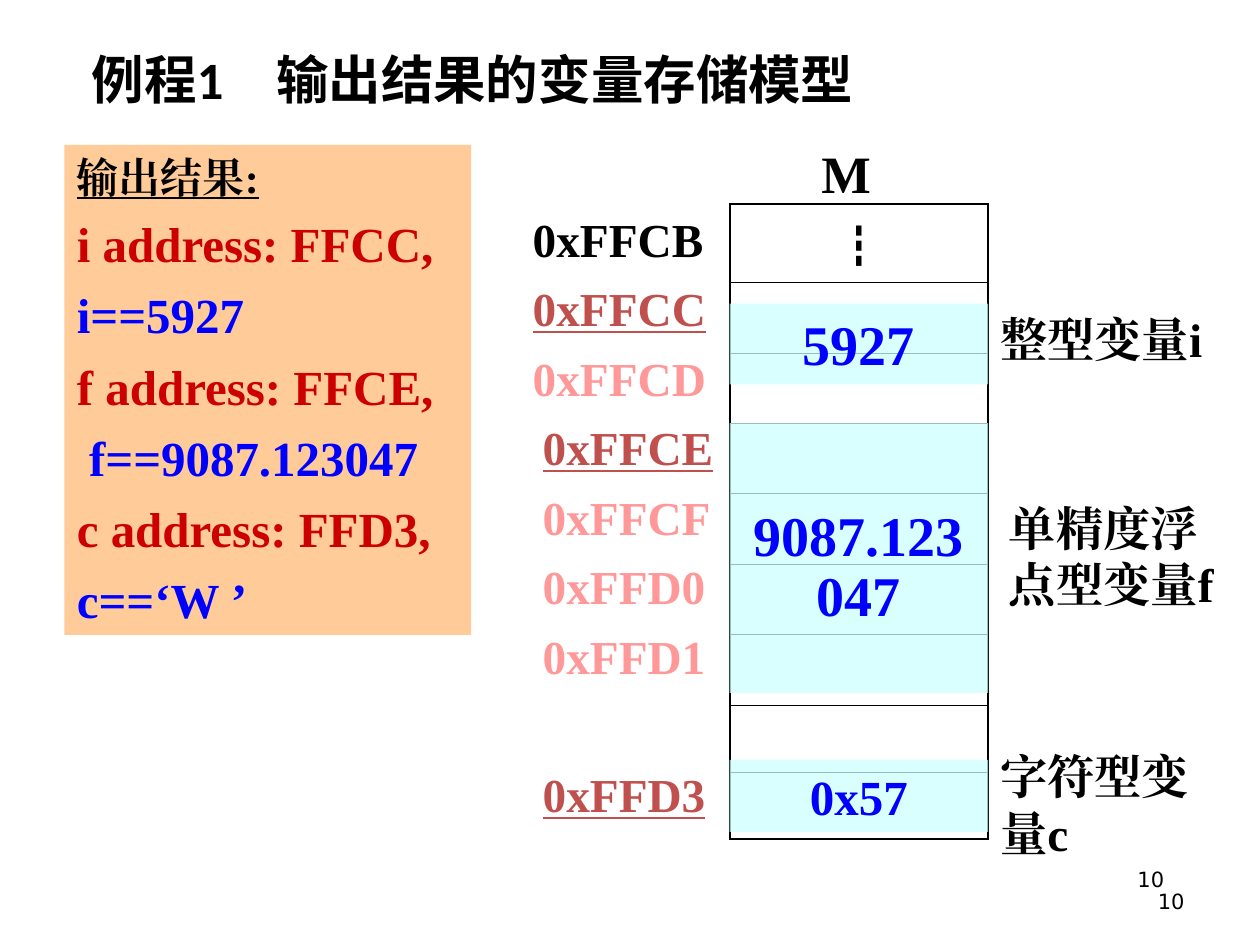
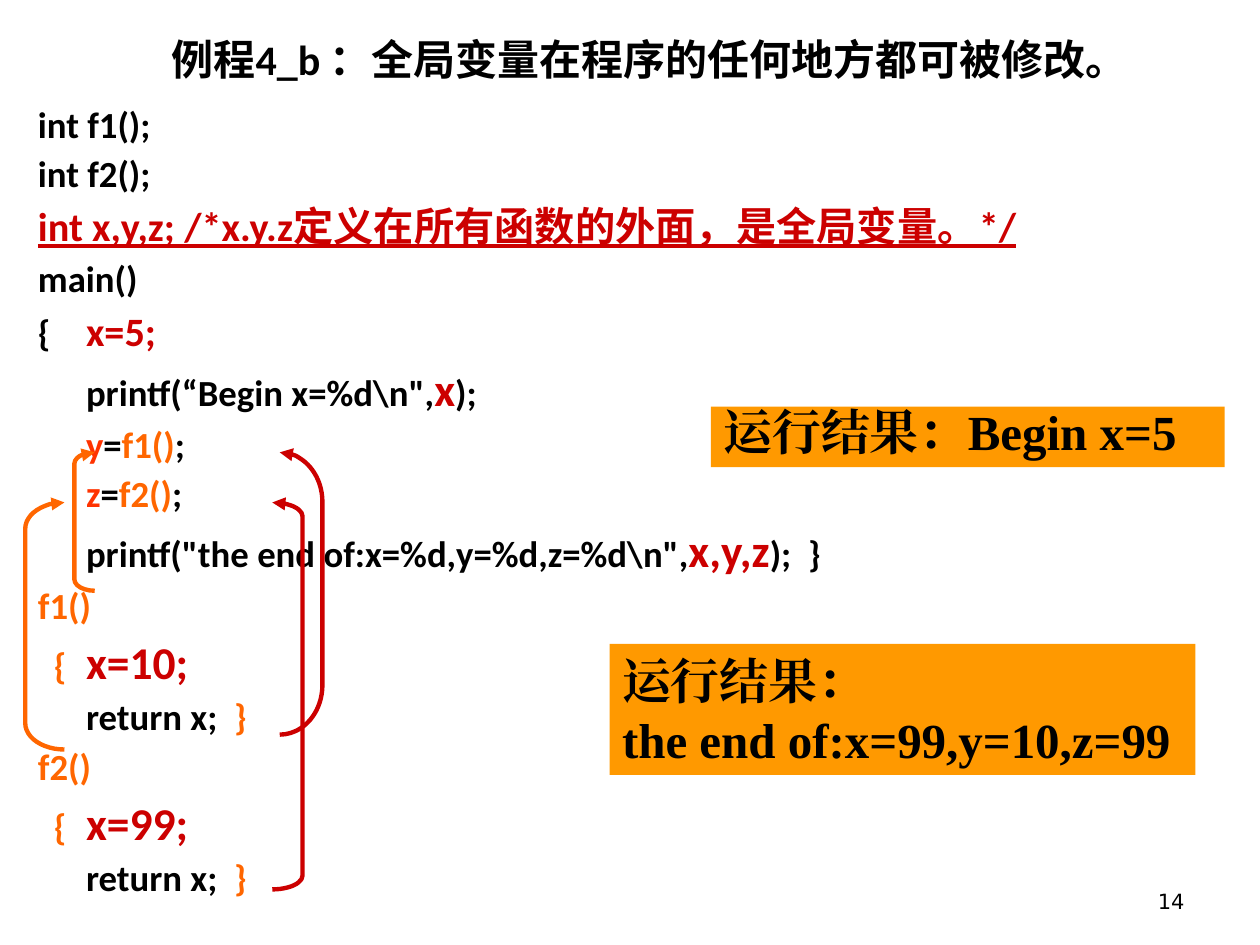
from lxml import etree
from pptx import Presentation
from pptx.dml.color import RGBColor
from pptx.enum import shapes, text
from pptx.oxml import ns
from pptx.util import Cm, Pt

INK = {
    "black": "000000", "red": "CC0000", "blue": "0000FF", "brick": "C0504D",
    "pink": "FF9999", "peach": "FFCC99", "aqua": "CCFFFF", "amber": "FF9900",
    "orange": "FF6600", "flame": "FF3300",
}
SERIF, SANS, HAN, PLAIN = "Times New Roman", "Calibri", "Noto Sans CJK SC", "DejaVu Sans"
MID, LEFT, RIGHT = text.PP_ALIGN.CENTER, text.PP_ALIGN.LEFT, text.PP_ALIGN.RIGHT
TOP, HALF = text.MSO_ANCHOR.TOP, text.MSO_ANCHOR.MIDDLE


def rgb(name):
    return RGBColor.from_string(INK[name])


def sub(node, tag, **attrs):
    return etree.SubElement(node, ns.qn("a:" + tag), **attrs)


class Deck:
    def __init__(self):
        self.prs = Presentation()
        self.prs.slide_width, self.prs.slide_height = Cm(25.4), Cm(19.05)

    def page(self, layout):
        self.slide = self.prs.slides.add_slide(self.prs.slide_layouts[layout])

    def style(self, run, font=SERIF, size=27, ink="black", bold=True, line=False):
        f = run.font
        f.name, f.size, f.bold, f.underline = font, Pt(size), bold, line
        f.color.rgb = rgb(ink)
        props = run._r.get_or_add_rPr()
        props.set("lang", "zh-CN")
        han = etree.Element(ns.qn("a:ea"), typeface=font)
        props.find(ns.qn("a:latin")).addnext(han)

    def fill(self, para, runs, **base):
        """Add (words, style) runs to a paragraph on top of a base style."""
        for words, look in runs:
            run = para.add_run()
            run.text = words
            self.style(run, **{**base, **look})

    def frame(self, shape, anchor=TOP):
        tf = shape.text_frame
        tf.word_wrap, tf.auto_size = True, text.MSO_AUTO_SIZE.NONE
        tf.vertical_anchor = anchor
        return tf

    def hold(self, index, box, anchor):
        """Move a placeholder to its box and return its text frame."""
        shape = self.slide.placeholders[index]
        shape.left, shape.top, shape.width, shape.height = map(Cm, box)
        return self.frame(shape, anchor)

    def title(self, box, runs, size, align=LEFT):
        para = self.hold(0, box, HALF).paragraphs[0]
        para.alignment = align
        self.fill(para, runs, font=SANS, size=size)

    def code(self, box, lines):
        tf = self.hold(1, box, TOP)
        for i, runs in enumerate(lines):
            para = tf.paragraphs[0] if i == 0 else tf.add_paragraph()
            para.line_spacing, para.space_before = 1.13, Pt(0)
            props = para._p.get_or_add_pPr()
            shift = 0.65 if runs[0][0].startswith("{\t") and i > 4 else 0.97
            props.set("marL", str(Cm(0.97)))
            props.set("indent", str(-Cm(shift)))
            sub(props, "buNone")
            self.fill(para, runs, font=SANS, size=21)

    def label(self, box, words, align=LEFT, anchor=TOP, **look):
        shape = self.slide.shapes.add_textbox(*map(Cm, box))
        tf = self.frame(shape, anchor)
        tf.text = words
        tf.paragraphs[0].alignment = align
        self.style(tf.paragraphs[0].runs[0], **look)

    def number(self, box, words, anchor=HALF):
        self.label(box, words, RIGHT, anchor, font=PLAIN, size=12, bold=False)

    def panel(self, box, ink, lines, align=LEFT, gap=0, pitch=1, clear=None, top=0.13):
        """Filled box; lines are (words, style), clear is an opacity in percent."""
        kind = shapes.MSO_SHAPE.RECTANGLE
        shape = self.slide.shapes.add_shape(kind, *map(Cm, box))
        shape.shadow.inherit = False
        shape.line.fill.background()
        shape.fill.solid()
        shape.fill.fore_color.rgb = rgb(ink)
        if clear:
            tint = shape._element.spPr.find(".//" + ns.qn("a:srgbClr"))
            sub(tint, "alpha", val=str(clear * 1000))
        tf = self.frame(shape)
        tf.margin_top = Cm(top)
        tf.text = "\n".join(words for words, _ in lines)
        for i, (para, (_, look)) in enumerate(zip(tf.paragraphs, lines)):
            para.alignment, para.line_spacing = align, pitch
            para.space_before = Pt(gap if i else 0)
            self.style(para.runs[0], **look)

    def stack(self, box, rows):
        """One-column table of memory cells."""
        left, top, width = box
        holder = self.slide.shapes.add_table(
            len(rows), 1, Cm(left), Cm(top), Cm(width), Cm(sum(rows)))
        table = holder.table
        table.first_row = table.horz_banding = False
        last = len(rows) - 1
        for i, high in enumerate(rows):
            table.rows[i].height = Cm(high)
            cell = table.cell(i, 0)
            props = cell._tc.get_or_add_tcPr()
            thick = {"lnL": 1.08, "lnR": 1.08,
                     "lnT": 0.45 if i else 1.08, "lnB": 0.45 if i < last else 1.08}
            for side, wide in thick.items():
                edge = sub(props, side, w=str(Pt(wide)))
                sub(sub(edge, "solidFill"), "srgbClr", val=INK["black"])
            cell.fill.background()
        return table

    def hook(self, box, bend, ink, left):
        """Bracket arrow: left ones point at their lower end, right ones at the upper."""
        kind = shapes.MSO_SHAPE.LEFT_BRACKET if left else shapes.MSO_SHAPE.RIGHT_BRACKET
        shape = self.slide.shapes.add_shape(kind, *map(Cm, box))
        shape.adjustments[0] = bend / box[2]
        shape.shadow.inherit = False
        shape.fill.background()
        shape.line.color.rgb, shape.line.width = rgb(ink), Pt(2.5)
        sub(shape.line._get_or_add_ln(), "tailEnd" if left else "headEnd", type="triangle")

    def save(self):
        self.prs.save("out.pptx")


def memory(deck):
    deck.page(5)
    deck.number((18.21, 17.35, 5.51, 1.32), "10", TOP)
    deck.title((1.6, 0.53, 22.23, 2.11),
               [("例程1　输出结果的", {}), ("变量存储模型", {"font": HAN})], 30)
    red, blue = {"size": 28, "ink": "red"}, {"size": 28, "ink": "blue"}
    deck.panel((1.3, 2.92, 8.2, 9.88), "peach", [
        ("输出结果:", {"size": 24, "line": True}),
        ("i address: FFCC,", red), ("i==5927", blue),
        ("f address: FFCE,", red), (" f==9087.123047", blue),
        ("c address: FFD3,", red), ("c==‘W ’", blue)], gap=7)

    left, top, width = 14.71, 4.11, 5.21
    table = deck.stack((left, top, width), [1.42] * 7 + [1.35] * 2)
    cell = table.cell(0, 0)
    cell.text = "┇"
    para = cell.text_frame.paragraphs[0]
    para.alignment, para.space_before = MID, Pt(6.5)
    deck.style(para.runs[0], font=HAN, size=26, bold=False)
    deck.label((16.31, 2.72, 2.01, 1.52), "M", size=30)

    values = [(6.12, 1.63, "5927", 32, 1, 0.13),
              (8.53, 5.44, "9087.123047", 32, 0.9, 1.71),
              (15.32, 1.45, "0x57", 28, 1, 0.13)]
    for y, high, words, size, pitch, inset in values:
        deck.panel((left, y, width, high), "aqua",
                   [(words, {"size": size, "ink": "blue"})],
                   MID, pitch=pitch, clear=74, top=inset)

    heads = ("FFCC", "FFCE", "FFD3")
    cells = ("FFCB", "FFCC", "FFCD", "FFCE", "FFCF", "FFD0", "FFD1", None, "FFD3")
    for i, name in enumerate(cells):
        if name:
            ink = "brick" if name in heads else "pink" if i else "black"
            deck.label((10.49 if i < 3 else 10.69, top + 1.4 * i, 4.39, 1.4),
                       "0x" + name, ink=ink, line=name in heads)

    for x, y, high, words in [(19.91, 6.12, 1.4, "整型变量i"),
                              (20.09, 9.93, 2.54, "单精度浮点型变量f"),
                              (19.91, 14.94, 2.54, "字符型变量c")]:
        deck.label((x, y, 4.9, high), words)
    deck.number((18.21, 17.65, 5.92, 1.02), "10")


def scope(deck):
    deck.page(1)
    deck.title((1.9, 0.41, 22.4, 1.55),
               [("例程4_b ：全局变量在程序的任何地方都可被修改。", {})], 24, MID)
    base, call, name = {}, {"ink": "orange"}, {"ink": "flame"}
    mark, big = {"ink": "red", "size": 23}, {"ink": "red", "size": 26}
    end = [("\treturn x;  ", base), ("}", call)]
    deck.code((0.51, 1.8, 24.89, 17.53), [
        [("int f1();", base)],
        [("int f2();", base)],
        [("int x,y,z; /*x.y.z定义在所有函数的外面，是全局变量。*/", {**mark, "line": True})],
        [("main()", base)],
        [("{\t", base), ("x=5;", mark)],
        [("\tprintf(“Begin x=%d\\n\",", base), ("x", big), (");", base)],
        [("\t", base), ("y", name), ("=", base), ("f1()", call), (";", base)],
        [("\t", base), ("z", name), ("=", base), ("f2()", call), (";", base)],
        [("\tprintf(\"the end of:x=%d,y=%d,z=%d\\n\",", base), ("x,y,z", big),
         (");  }", base)],
        [("f1()", call)],
        [("{\t", call), ("x=10;", big)],
        end,
        [("f2()", call)],
        [("{\t", call), ("x=99;", big)],
        end])

    bold = {"size": 28}
    deck.panel((14.33, 8.2, 10.36, 1.22), "amber",
               [("运行结果：Begin x=5", bold)], pitch=0.8)
    deck.panel((12.29, 12.98, 11.81, 2.64), "amber",
               [("运行结果：", bold), ("the end of:x=99,y=10,z=99", bold)])
    deck.hook((1.5, 9.12, 0.41, 2.79), 0.23, "orange", True)
    deck.hook((0.51, 10.13, 0.79, 4.98), 0.53, "orange", True)
    deck.hook((5.64, 9.12, 0.86, 5.69), 1, "red", False)
    deck.hook((5.49, 10.13, 0.61, 7.8), 0.28, "red", False)
    deck.number((18.21, 17.65, 5.92, 1.02), "14")


def main():
    deck = Deck()
    memory(deck)
    scope(deck)
    deck.save()


if __name__ == "__main__":
    main()
